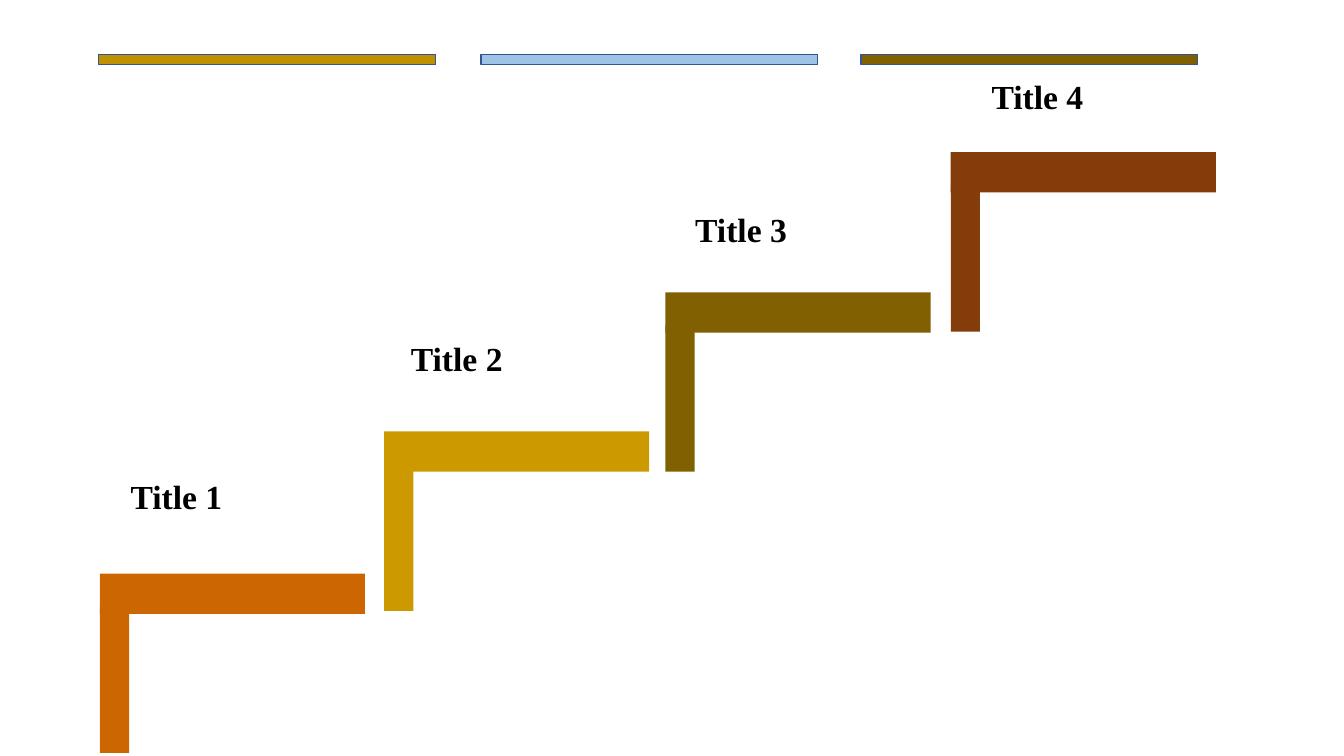
from pptx import Presentation
from pptx.dml.color import RGBColor
from pptx.enum.shapes import MSO_SHAPE
from pptx.enum.text import MSO_AUTO_SIZE, PP_ALIGN
from pptx.util import Inches, Pt

RECTANGLE = MSO_SHAPE.RECTANGLE
CENTER = PP_ALIGN.CENTER
FIT_SHAPE = MSO_AUTO_SIZE.SHAPE_TO_FIT_TEXT

THEME = {
    "font": "Times New Roman",
    "title_size": 24,
    "title": "000000",
    "outline": "325491",
    "outline_width": 1,
    "orange": "CC6600",
    "gold": "CC9900",
    "olive": "806000",
    "brown": "843C0B",
    "amber": "BF9000",
    "sky": "9DC3E6",
}

# Header bars: left, colour
HEADER_BARS = [(0.98, "amber"), (4.77, "sky"), (8.54, "olive")]
BAR_TOP, BAR_WIDTH, BAR_HEIGHT = 0.54, 3.34, 0.1

# Stairs: title, colour, corner of the step, corner of the title
STAIRS = [
    ("Title 1", "orange", (0.99, 5.69), (1.19, 4.67)),
    ("Title 2", "gold", (3.81, 4.28), (3.97, 3.3)),
    ("Title 3", "olive", (6.6, 2.9), (6.79, 2.02)),
    ("Title 4", "brown", (9.43, 1.51), (9.73, 0.7)),
]
TREAD_SIZE = (2.63, 0.4)
RISER_SIZE = (0.29, 1.45)
RISER_DROP = 0.33
TITLE_SIZE = (1.12, 0.5)


def color(name):
    return RGBColor.from_string(THEME[name])


def add_block(shapes, left, top, size, fill, outlined=False):
    block = shapes.add_shape(RECTANGLE, *map(Inches, (left, top, *size)))
    block.shadow.inherit = False
    block.fill.solid()
    block.fill.fore_color.rgb = color(fill)
    if outlined:
        block.line.color.rgb = color("outline")
        block.line.width = Pt(THEME["outline_width"])
    else:
        block.line.fill.background()


def add_title(shapes, text, corner):
    title = shapes.add_textbox(*map(Inches, (*corner, *TITLE_SIZE)))
    frame = title.text_frame
    frame.text = text
    frame.word_wrap = False
    frame.auto_size = FIT_SHAPE
    paragraph = frame.paragraphs[0]
    paragraph.alignment = CENTER
    font = paragraph.runs[0].font
    font.name = THEME["font"]
    font.size = Pt(THEME["title_size"])
    font.bold = True
    font.color.rgb = color("title")


def main():
    deck = Presentation()
    deck.slide_width, deck.slide_height = Inches(13.33), Inches(7.5)
    shapes = deck.slides.add_slide(deck.slide_layouts[6]).shapes

    # Header bars
    for left, fill in HEADER_BARS:
        add_block(shapes, left, BAR_TOP, (BAR_WIDTH, BAR_HEIGHT), fill, outlined=True)

    # Each step groups a riser with the tread above it
    for _, fill, (left, top), _ in STAIRS:
        step = shapes.add_group_shape().shapes
        add_block(step, left, top + RISER_DROP, RISER_SIZE, fill)
        add_block(step, left, top, TREAD_SIZE, fill)

    # Step titles
    for text, _, _, corner in STAIRS:
        add_title(shapes, text, corner)

    deck.save("out.pptx")


if __name__ == "__main__":
    main()
